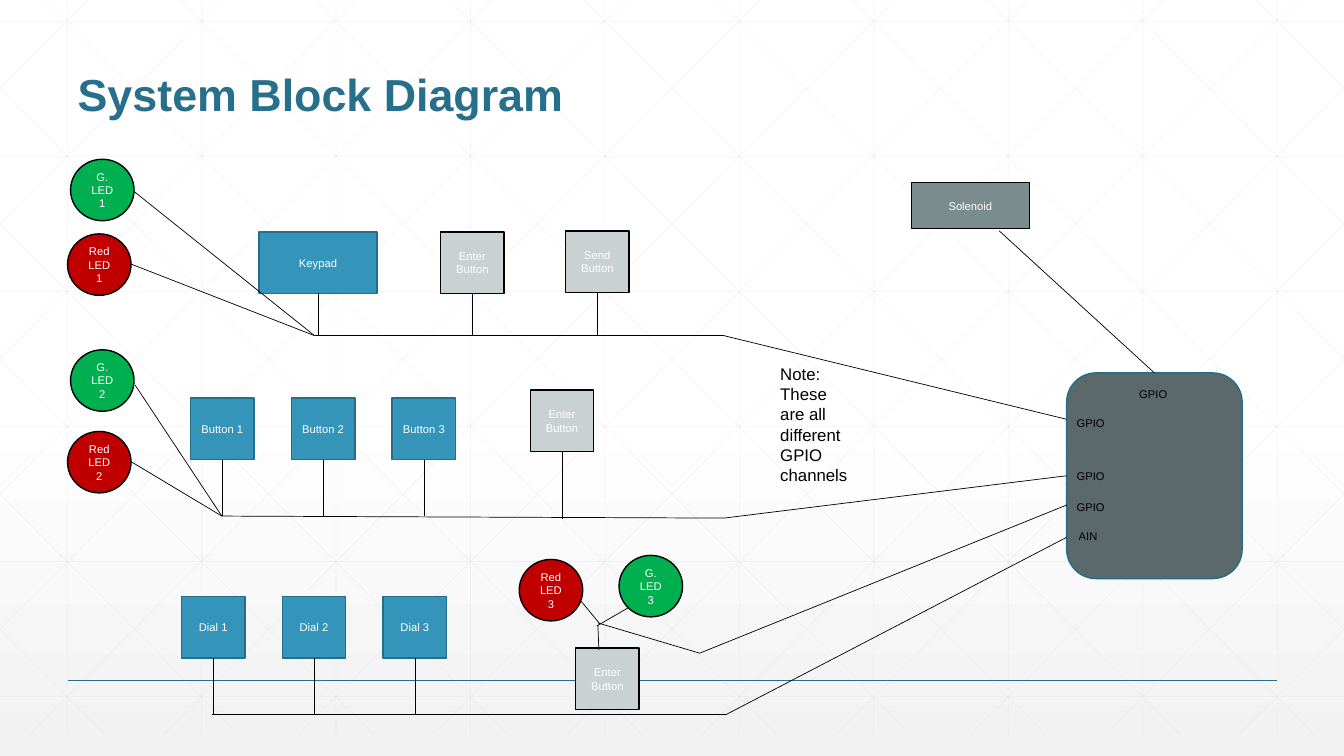
from dataclasses import dataclass

from lxml import etree
from pptx import Presentation
from pptx.dml.color import RGBColor
from pptx.enum.shapes import MSO_CONNECTOR, MSO_SHAPE
from pptx.enum.text import MSO_ANCHOR, PP_ALIGN
from pptx.oxml.ns import qn
from pptx.util import Inches, Pt

STRAIGHT = MSO_CONNECTOR.STRAIGHT
RECT, ROUNDED, ELLIPSE = MSO_SHAPE.RECTANGLE, MSO_SHAPE.ROUNDED_RECTANGLE, MSO_SHAPE.OVAL
MIDDLE, BOTTOM = MSO_ANCHOR.MIDDLE, MSO_ANCHOR.BOTTOM
LEFT, CENTER = PP_ALIGN.LEFT, PP_ALIGN.CENTER
SIDE_TOP, SIDE_LEFT, SIDE_BOTTOM = 0, 1, 2


@dataclass(frozen=True)
class Theme:
    font: str = "Arial"
    title: str = "276F8B"
    white: str = "FFFFFF"
    black: str = "000000"
    page_end: str = "F2F2F2"
    grid: str = "D9D9D9"
    blue: str = "3494BA"
    blue_edge: str = "266D8A"
    red: str = "C00000"
    green: str = "00B050"
    light: str = "CAD1D2"
    gray: str = "7A8C8E"
    dark: str = "5B696B"
    title_size: int = 32
    note_size: int = 12
    label_size: int = 8
    thin: float = 0.5
    edge: float = 1


THEME = Theme()
WIDTH, HEIGHT = 13.33, 7.5
UNIT_W, UNIT_H = 0.63, 0.61
WIDE_W = 1.17


def color(value):
    return RGBColor.from_string(value)


def add_span(para, text, size, ink, bold=False):
    span = para.add_run()
    span.text = text
    span.font.name = THEME.font
    span.font.size = Pt(size)
    span.font.bold = bold
    span.font.color.rgb = color(ink)


def add_line(shapes, start, end, ink=THEME.black, weight=THEME.thin, alpha=None):
    """Draw a shadowless straight line; alpha is an opacity in percent."""
    line = shapes.add_connector(STRAIGHT, *(Inches(v) for v in (*start, *end)))
    line.line.color.rgb = color(ink)
    line.line.width = Pt(weight)
    properties = line.element.spPr
    if alpha is not None:
        tone = next(properties.iter(qn("a:srgbClr")))
        etree.SubElement(tone, qn("a:alpha")).set("val", str(alpha * 1000))
    etree.SubElement(properties, qn("a:effectLst"))
    return line


def add_block(page, kind, place, fill, edge, text=""):
    box = page.shapes.add_shape(kind, *(Inches(v) for v in place))
    box.shadow.inherit = False
    box.fill.solid()
    box.fill.fore_color.rgb = color(fill)
    box.line.color.rgb = color(edge)
    box.line.width = Pt(THEME.edge)
    if text:
        box.text_frame.word_wrap = True
        box.text_frame.vertical_anchor = MIDDLE
        para = box.text_frame.paragraphs[0]
        para.alignment = CENTER
        add_span(para, text, THEME.label_size, THEME.white)
    return box


def add_label(page, place, text, size=THEME.label_size):
    box = page.shapes.add_textbox(*(Inches(v) for v in place))
    box.text_frame.word_wrap = True
    add_span(box.text_frame.paragraphs[0], text, size, THEME.black)


def add_drop(page, block, bus_y):
    """Join the middle of a block's lower side to a bus line below it."""
    x = (block.left + block.width / 2) / Inches(1)
    line = add_line(page.shapes, (x, bus_y - 0.4), (x, bus_y))
    line.begin_connect(block, SIDE_BOTTOM)


def paint_background(page):
    fill = page.background.fill
    fill.gradient()
    fill.gradient_angle = 270
    first, last = fill.gradient_stops
    first.color.rgb, first.position = color(THEME.white), 0.53
    last.color.rgb, last.position = color(THEME.page_end), 1


def add_grid(page):
    """Draw faint vertical, horizontal and mirrored diagonal lines."""
    grid = page.shapes.add_group_shape()
    top, bottom, step = -0.21, 7.29, 4 / 3
    run = 7.455
    slope = (bottom - top) / run
    segments = [((x, top), (x, bottom)) for x in (2 / 3 + step * i for i in range(10))]
    segments += [((0, y), (WIDTH, y)) for y in (0.21 + 1.34 * i for i in range(6))]
    for i in range(-5, 10):
        origin = 0.25 + step * i
        ends = [(x, top + (x - origin) * slope)
                for x in (max(0, origin), min(WIDTH, origin + run))]
        segments += [ends, [(WIDTH - x, y) for x, y in ends]]
    for start, end in segments:
        add_line(grid.shapes, start, end, THEME.grid, THEME.thin, alpha=25)
    page.shapes.title.element.addprevious(grid.element)
    add_line(page.shapes, (0.67, 6.75), (12.67, 6.75), THEME.title, THEME.edge)


def add_title(page, text):
    title = page.shapes.title
    title.left, title.top, title.width, title.height = (Inches(v) for v in (0.67, 0.25, 12, 1))
    title.text_frame.vertical_anchor = BOTTOM
    para = title.text_frame.paragraphs[0]
    para.alignment = LEFT
    para.line_spacing = 0.9
    add_span(para, text, THEME.title_size, THEME.title, bold=True)


def add_units(page):
    """Place inputs and LEDs, and drop the inputs to their buses."""
    keypad = add_block(page, RECT, (2.57, 2.3, WIDE_W, UNIT_H),
                       THEME.blue, THEME.blue_edge, "Keypad")
    add_drop(page, keypad, 3.33)
    for name, left, top, bus_y in (("Button", 1.89, 3.95, 5.12), ("Dial", 1.8, 5.92, 7.09)):
        for i in range(3):
            unit = add_block(page, RECT, (left + i, top, UNIT_W, UNIT_H),
                             THEME.blue, THEME.blue_edge, f"{name} {i + 1}")
            add_drop(page, unit, bus_y)
    for name, left, top, bus_y in (("Enter", 4.37, 2.3, 3.33), ("Send", 5.61, 2.29, 3.33),
                                   ("Enter", 5.26, 3.87, 5.15), ("Enter", 5.71, 6.43, None)):
        button = add_block(page, RECT, (left, top, UNIT_W, UNIT_H),
                           THEME.light, THEME.black, f"{name} Button")
        if bus_y:
            add_drop(page, button, bus_y)
    for name, fill, corners in (("Red", THEME.red, ((0.67, 2.32), (0.67, 4.28), (5.15, 5.55))),
                                ("G.", THEME.green, ((0.7, 1.58), (0.7, 3.47), (6.14, 5.51)))):
        for number, corner in enumerate(corners, 1):
            add_block(page, ELLIPSE, (*corner, UNIT_W, UNIT_H),
                      fill, THEME.black, f"{name} LED {number}")


def add_wires(page):
    for start, end in (
        ((1.3, 2.62), (3.12, 3.33)), ((1.33, 1.9), (3.12, 3.33)),
        ((3.12, 3.33), (7.18, 3.33)), ((7.18, 3.33), (10.58, 4.16)),
        ((1.34, 3.82), (2.2, 5.12)), ((1.3, 4.58), (2.2, 5.12)),
        ((2.2, 5.12), (7.18, 5.14)),
        ((2.1, 7.09), (7.2, 7.09)), ((7.2, 7.09), (10.58, 5.33)),
        ((5.76, 5.96), (5.95, 6.19)), ((6.23, 6.03), (5.92, 6.21)),
        ((5.94, 6.45), (5.93, 6.2)), ((5.93, 6.18), (6.94, 6.48)),
        ((6.94, 6.48), (10.58, 5.01)),
    ):
        add_line(page.shapes, start, end)


def add_controller(page):
    add_block(page, RECT, (9.04, 1.81, WIDE_W, 0.46), THEME.gray, THEME.black, "Solenoid")
    controller = add_block(page, ROUNDED, (10.58, 3.7, 1.74, 2.04), THEME.dark, THEME.blue_edge)
    for start, end, side in (((9.91, 2.29), (11.45, 3.7), SIDE_TOP),
                             ((7.18, 5.14), (10.58, 4.72), SIDE_LEFT)):
        add_line(page.shapes, start, end).end_connect(controller, side)
    for text, left, top in (("GPIO", 11.2, 3.79), ("GPIO", 10.58, 4.08), ("GPIO", 10.58, 4.61),
                            ("GPIO", 10.58, 4.91), ("AIN", 10.6, 5.2)):
        add_label(page, (left, top, 0.78, 0.24), text)


def main():
    deck = Presentation()
    deck.slide_width, deck.slide_height = Inches(WIDTH), Inches(HEIGHT)
    page = deck.slides.add_slide(deck.slide_layouts[5])
    paint_background(page)
    add_grid(page)
    add_title(page, "System Block Diagram")
    add_units(page)
    add_controller(page)
    add_wires(page)
    add_label(page, (7.64, 3.56, 0.92, 1.31),
              "Note: These are all different GPIO channels", THEME.note_size)
    deck.save("out.pptx")


if __name__ == "__main__":
    main()
